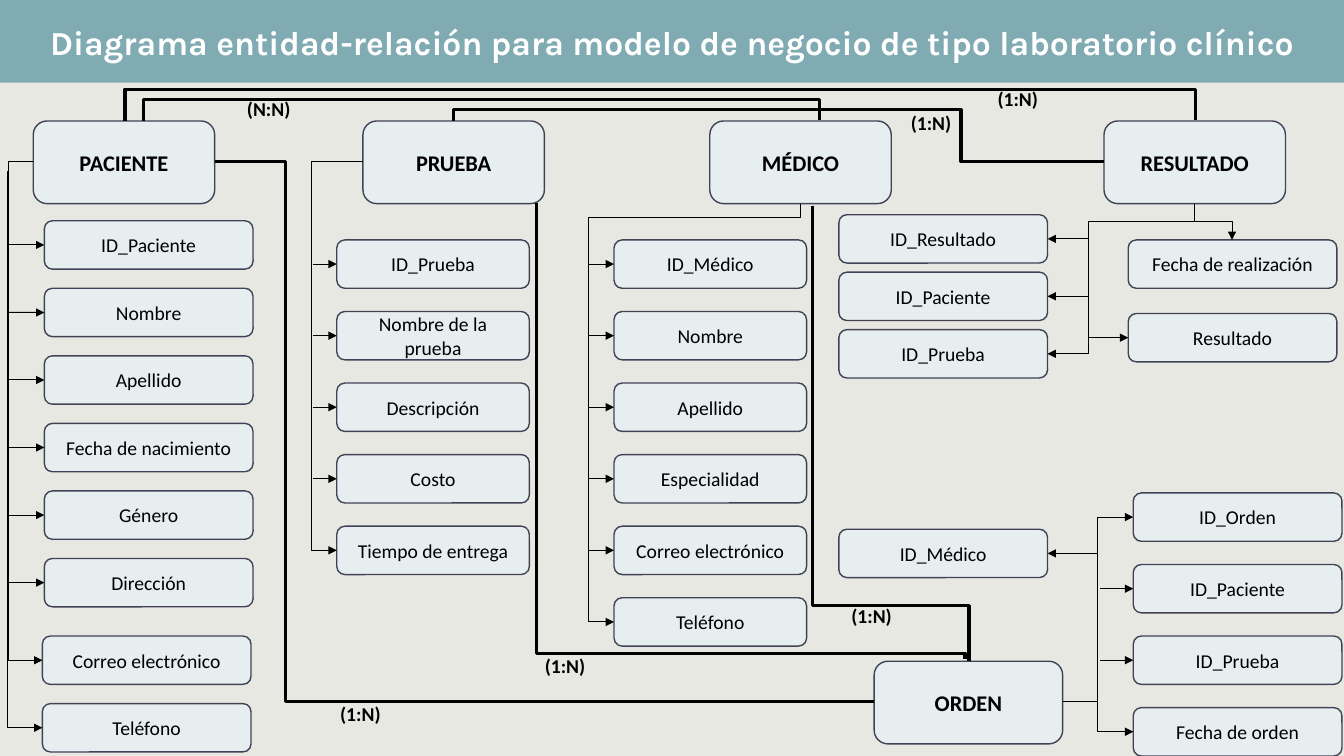
from collections import namedtuple
from dataclasses import dataclass

from lxml import etree
from pptx import Presentation
from pptx import util as u
from pptx.dml.color import RGBColor
from pptx.enum import shapes, text
from pptx.oxml import ns

Box = namedtuple("Box", "left top width height")
Column = namedtuple("Column", "dx dy width pitch trunk names branched")


@dataclass(frozen=True)
class Theme:
    """Colours, fonts, type sizes and line widths of the diagram."""
    background: str = "E8E8E2"
    band: str = "80ABB3"
    card: str = "E6EEF0"
    border: str = "424257"
    ink: str = "000000"
    white: str = "FFFFFF"
    title_font: str = "Karla"
    body_font: str = "Calibri"
    title_size: int = 24
    entity_size: int = 16
    attribute_size: int = 14
    thin: float = 0.75
    thick: float = 2.25


THEME = Theme()
ATTRIBUTE_HEIGHT = 0.48
ORIENTATIONS = {
    (0, True, True): (0, ""), (0, True, False): (0, "V"), (0, False, True): (180, "V"),
    (1, True, True): (270, "H"), (1, True, False): (90, ""), (1, False, True): (90, "HV"),
}

ENTITIES = [
    ("PACIENTE", Box(0.33, 1.2, 1.8, 0.82), [
        Column(0.11, 0.99, 2.07, 0.67, -0.25,
               ["ID_Paciente", "Nombre", "Apellido", "Fecha de nacimiento", "Género", "Dirección"], ()),
        Column(0.09, 5.11, 2.07, 0.67, -0.25, ["Correo electrónico", "Teléfono"], (0, 1)),
    ], [
        [(-0.26, 0.5), (-0.26, 6.02), (0.09, 6.02)],
        [(0, 0.4), (-0.25, 0.4), (-0.25, 5.35), (0.09, 5.35)],
    ]),
    ("PRUEBA", Box(3.6, 1.2, 1.8, 0.82), [
        Column(-0.26, 1.18, 1.91, 0.71, -0.5,
               ["ID_Prueba", "Nombre de la prueba", "Descripción", "Costo", "Tiempo de entrega"], (4,)),
    ], [
        [(0, 0.4), (-0.51, 0.4), (-0.51, 4.26), (-0.26, 4.26)],
    ]),
    ("MÉDICO", Box(7.04, 1.2, 1.8, 0.82), [
        Column(-0.95, 1.18, 1.91, 0.71, -1.21,
               ["ID_Médico", "Nombre", "Apellido", "Especialidad", "Correo electrónico", "Teléfono"], (5,)),
    ], [
        [(0.9, 0.82), (0.9, 0.96), (-1.2, 0.96), (-1.2, 4.97), (-0.95, 4.97)],
    ]),
    ("RESULTADO", Box(10.95, 1.2, 1.8, 0.82), [
        Column(-2.63, 0.93, 2.07, 0.57, -0.15, ["ID_Resultado", "ID_Paciente", "ID_Prueba"], ()),
        Column(0.24, 1.18, 2.07, 0.73, -0.15, ["Fecha de realización", "Resultado"], (0, 1)),
    ], [
        [(0.9, 0.82), (0.9, 1), (1.27, 1), (1.27, 1.18)],
        [(0.9, 0.82), (0.9, 1), (-0.15, 1), (-0.15, 2.15), (0.24, 2.15)],
        [(-0.15, 2.31), (-0.15, 2.15)],
    ]),
    ("ORDEN", Box(8.67, 6.56, 1.87, 0.82), [
        Column(-0.35, -1.31, 2.07, 0, 2.22, ["ID_Médico"], ()),
        Column(2.57, -1.67, 2.07, 0.71, 2.24,
               ["ID_Orden", "ID_Paciente", "ID_Prueba", "Fecha de orden"], (0, 3)),
    ], [
        [(1.87, 0.4), (2.22, 0.4), (2.22, -1.43), (2.57, -1.43)],
        [(1.87, 0.4), (2.22, 0.4), (2.22, 0.7), (2.57, 0.7)],
    ]),
]

RELATIONS = [
    ("(1:N)", (9.74, 0.81), [(1.24, 1.2), (1.24, 0.88), (11.86, 0.88), (11.86, 1.19)]),
    ("(1:N)", (8.88, 1.05), [(4.5, 1.2), (4.5, 1.09), (9.53, 1.09), (9.53, 1.6), (10.95, 1.6)]),
    ("(1:N)", (3.22, 6.91), [(2.13, 1.6), (2.83, 1.6), (2.83, 6.96), (8.67, 6.96)]),
    ("(1:N)", (5.25, 6.44), [(5.32, 2.01), (5.32, 6.48), (9.57, 6.48), (9.57, 6.54)]),
    ("(1:N)", (8.29, 5.94), [(8.06, 2.04), (8.06, 6.01), (9.61, 6.01), (9.61, 6.56)]),
    ("(N:N)", (2.31, 0.91), [(1.42, 1.2), (1.42, 0.98), (8.13, 0.98), (8.13, 1.19)]),
]


def inches(values):
    """Turn a sequence of numbers into lengths."""
    return [u.Inches(value) for value in values]


def write(frame, words, size, bold=False, font=THEME.body_font, color=THEME.ink):
    """Put one centred run into a text frame."""
    frame.word_wrap = True
    frame.auto_size = text.MSO_AUTO_SIZE.NONE
    paragraph = frame.paragraphs[0]
    paragraph.alignment = text.PP_ALIGN.CENTER
    run = paragraph.add_run()
    run.text = words
    run.font.size, run.font.bold, run.font.name = u.Pt(size), bold, font
    run.font.color.rgb = RGBColor.from_string(color)


def draw_card(slide, box, words, size, bold=False):
    """Draw a rounded card with centred words."""
    card = slide.shapes.add_shape(shapes.MSO_SHAPE.ROUNDED_RECTANGLE, *inches(box))
    card.shadow.inherit = False
    card.fill.solid()
    card.fill.fore_color.rgb = RGBColor.from_string(THEME.card)
    card.line.color.rgb = RGBColor.from_string(THEME.border)
    card.line.width = u.Pt(1)
    card.text_frame.vertical_anchor = text.MSO_ANCHOR.MIDDLE
    write(card.text_frame, words, size, bold)
    return card


def style_line(line, width, arrow):
    """Give a connector its ink, width and optional arrowhead."""
    line.line.color.rgb = RGBColor.from_string(THEME.ink)
    line.line.width = u.Pt(width)
    if arrow:
        etree.SubElement(line.line._get_or_add_ln(), ns.qn("a:tailEnd"), type="triangle")
    etree.SubElement(line.element.spPr, ns.qn("a:effectLst"))


def draw_straight(slide, start, end, arrow):
    """Draw a thin straight connector."""
    line = slide.shapes.add_connector(shapes.MSO_CONNECTOR.STRAIGHT, *inches(start + end))
    style_line(line, THEME.thin, arrow)
    return line


def draw_elbow(slide, points, width, arrow):
    """Draw a right-angled connector that turns at the given points."""
    start, end = points[0], points[-1]
    axis = 0 if start[1] == points[1][1] else 1
    span = [end[0] - start[0], end[1] - start[1]]
    run, rise = span[axis], span[1 - axis]
    left = (start[0] + end[0] - abs(run)) / 2
    top = (start[1] + end[1] - abs(rise)) / 2
    line = slide.shapes.add_connector(
        shapes.MSO_CONNECTOR.ELBOW, *inches((left, top, left + abs(run), top + abs(rise))))
    turn, flips = ORIENTATIONS[axis, run > 0, rise > 0]
    frame = line.element.spPr.find(ns.qn("a:xfrm"))
    frame.set("rot", str(turn * 60000))
    for flip in flips:
        frame.set("flip" + flip, "1")
    geometry = line.element.spPr.find(ns.qn("a:prstGeom"))
    geometry.set("prst", f"bentConnector{len(points) - 1}")
    guides = geometry.find(ns.qn("a:avLst"))
    for turning in range(1, len(points) - 2):
        side = axis if turning % 2 else 1 - axis
        share = round((points[turning][side] - start[side]) / span[side] * 100000)
        etree.SubElement(guides, ns.qn("a:gd"), name=f"adj{turning}", fmla=f"val {share}")
    style_line(line, width, arrow)


def draw_column(slide, box, column):
    """Stack attribute cards beside an entity box and join them to their trunk."""
    left, trunk = box.left + column.dx, box.left + column.trunk
    for row, name in enumerate(column.names):
        top = box.top + column.dy + row * column.pitch
        attribute = draw_card(slide, Box(left, top, column.width, ATTRIBUTE_HEIGHT),
                              name, THEME.attribute_size)
        if row not in column.branched:
            middle = top + ATTRIBUTE_HEIGHT / 2
            arrow = draw_straight(slide, (trunk, middle), (left, middle), True)
            arrow.end_connect(attribute, 1 if trunk < left else 3)


def draw_entity(slide, box, name, columns, branches):
    """Draw an entity with its attributes and branches, placed from its box."""
    draw_card(slide, box, name, THEME.entity_size, True)
    for column in columns:
        draw_column(slide, box, column)
    for branch in branches:
        points = [(box.left + dx, box.top + dy) for dx, dy in branch]
        if len(points) == 2:
            draw_straight(slide, *points, False)
        else:
            draw_elbow(slide, points, THEME.thin, True)


def draw_relation(slide, box, cardinality, points):
    """Draw a relation line with its cardinality in the given box."""
    draw_elbow(slide, points, THEME.thick, False)
    label = slide.shapes.add_textbox(*inches(box))
    write(label.text_frame, cardinality, THEME.attribute_size, True)


def draw_header(slide, box, words):
    """Draw the title on a coloured band that fills the box."""
    band = slide.shapes.add_shape(shapes.MSO_SHAPE.RECTANGLE, *inches(box))
    band.shadow.inherit = False
    band.fill.solid()
    band.fill.fore_color.rgb = RGBColor.from_string(THEME.band)
    band.line.fill.background()
    title = slide.shapes.title
    title.left, title.top, title.width, title.height = inches(
        (box.left, box.top + 0.17, box.width, 0.5))
    title.text_frame.vertical_anchor = text.MSO_ANCHOR.TOP
    write(title.text_frame, words, THEME.title_size, True, THEME.title_font, THEME.white)
    band.element.addnext(title.element)


def main():
    """Build the entity-relationship slide and save it."""
    deck = Presentation()
    deck.slide_width, deck.slide_height = inches((13.33, 7.5))
    slide = deck.slides.add_slide(deck.slide_layouts[5])
    slide.background.fill.solid()
    slide.background.fill.fore_color.rgb = RGBColor.from_string(THEME.background)
    draw_header(slide, Box(0, 0, 13.33, 0.82),
                "Diagrama entidad-relación para modelo de negocio de tipo laboratorio clínico")
    for name, box, columns, branches in ENTITIES:
        draw_entity(slide, box, name, columns, branches)
    for cardinality, corner, points in RELATIONS:
        draw_relation(slide, Box(*corner, 0.71, 0.34), cardinality, points)
    deck.save("out.pptx")


if __name__ == "__main__":
    main()
